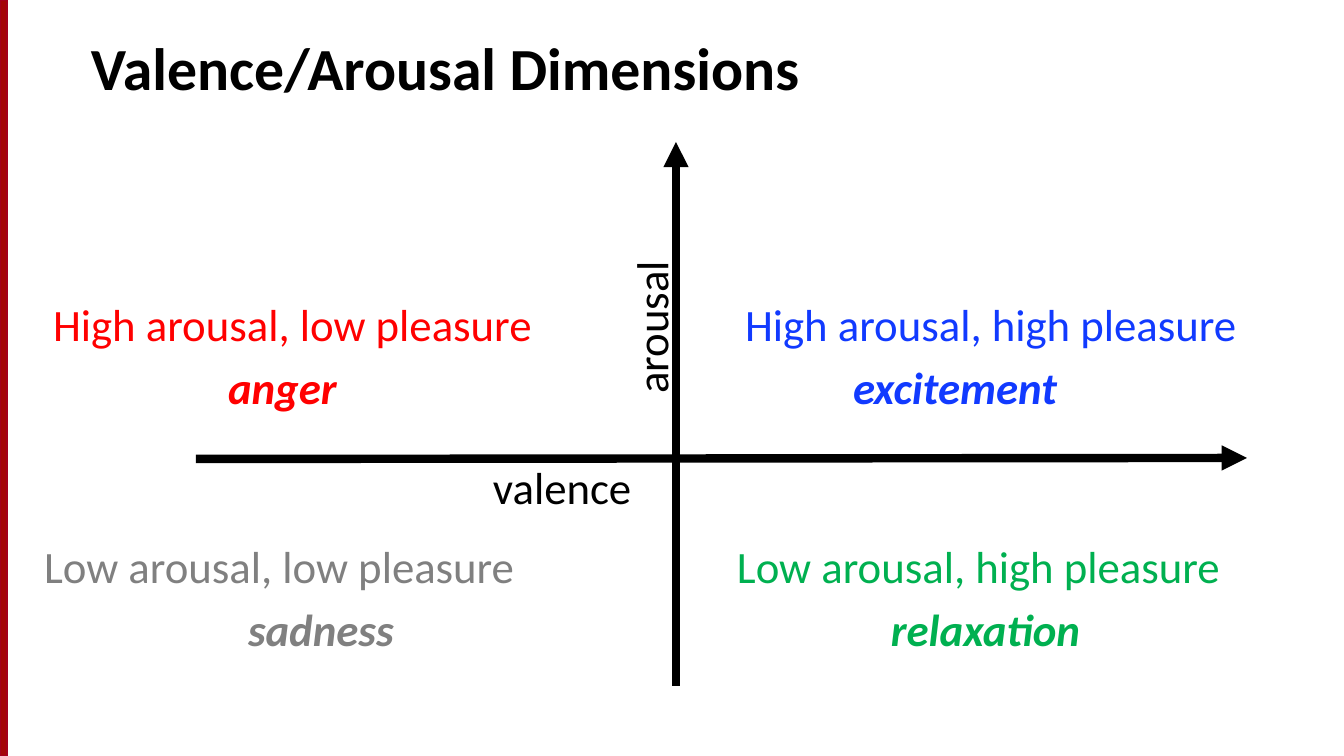
from lxml import etree
from pptx import Presentation
from pptx import util as u
from pptx.dml.color import RGBColor
from pptx.enum import shapes, text
from pptx.oxml.ns import qn

SCALE = 9144000 / 1344
WIDE, HIGH = 1344, 756
BLACK = RGBColor(0x00, 0x00, 0x00)
CRIMSON = RGBColor(0xA4, 0x05, 0x08)
EDGE = RGBColor(0xA4, 0x00, 0x1D)
RED = RGBColor(0xFF, 0x00, 0x00)
BLUE = RGBColor(0x11, 0x3A, 0xFF)
GRAY = RGBColor(0x80, 0x80, 0x80)
GREEN = RGBColor(0x00, 0xB0, 0x50)

MOODS = [
    (53, 297, "High arousal, low pleasure", "anger", 175, RED),
    (745, 297, "High arousal, high pleasure", "excitement", 108, BLUE),
    (44, 539, "Low arousal, low pleasure", "sadness", 204, GRAY),
    (737, 539, "Low arousal, high pleasure", "relaxation", 154, GREEN),
]


def px(n):
    """Turn pixels into EMU."""
    return u.Emu(round(n * SCALE))


def style(para, size, color, bold=False, slant=False):
    """Format every run of a paragraph."""
    for run in para.runs:
        font = run.font
        font.name, font.size = "Calibri", u.Pt(size)
        font.bold, font.italic = bold, slant
        font.color.rgb = color


def add_text(slide, box, words, size=24, color=BLACK, bold=False, wrap=True):
    """Add a text box without margins and return it."""
    shape = slide.shapes.add_textbox(*map(px, box))
    frame = shape.text_frame
    frame.margin_left = frame.margin_right = 0
    frame.margin_top = frame.margin_bottom = 0
    frame.word_wrap = wrap
    frame.text = words
    style(frame.paragraphs[0], size, color, bold)
    return shape


def add_line(slide, start, end, width, arrow=True):
    """Draw a black line, with an arrowhead at its end if asked."""
    line = slide.shapes.add_connector(
        shapes.MSO_CONNECTOR.STRAIGHT, *map(px, start + end))
    line.line.color.rgb = BLACK
    line.line.width = u.Pt(width)
    if arrow:
        tail = etree.SubElement(line.line._get_or_add_ln(), qn("a:tailEnd"))
        tail.set("type", "triangle")
    etree.SubElement(line._element.spPr, qn("a:effectLst"))


def add_stripe(slide, box):
    """Draw the coloured stripe at the slide's edge."""
    bar = slide.shapes.add_shape(shapes.MSO_SHAPE.RECTANGLE, *map(px, box))
    bar.shadow.inherit = False
    bar.fill.solid()
    bar.fill.fore_color.rgb = CRIMSON
    bar.line.color.rgb = EDGE
    bar.line.width = u.Pt(0.75)


def add_title(slide, box):
    """Write the title at the bottom of its box."""
    title = add_text(slide, box, "Valence/Arousal Dimensions", 32, bold=True)
    title.text_frame.vertical_anchor = text.MSO_ANCHOR.BOTTOM


def add_mood(slide, box, state, mood, indent, color):
    """Write one quadrant: its state and, indented, its mood."""
    frame = add_text(slide, box, state, color=color).text_frame
    para = frame.add_paragraph()
    para.text = mood
    para.space_before = u.Pt(4.8)
    para._p.get_or_add_pPr().set("marL", str(px(indent)))
    style(para, 24, color, bold=True, slant=True)


def add_axes(slide, box):
    """Draw the two axes and their labels within a box."""
    left, top, width, height = box
    mid, base = left + 480, top + 316
    add_line(slide, (left, base + 1), (left + width, base), 4.5)
    add_line(slide, (mid, top + height), (mid, top), 4.5)
    add_line(slide, (mid + 46, top + 3), (mid + 46, top + 3), 0.75, False)
    name = add_text(slide, (mid - 96, top + 154, 141, 54), "arousal", wrap=False)
    name.rotation = 270
    add_text(slide, (mid - 183, base + 2, 141, 54), "valence", wrap=False)


def main():
    """Build and save the slide."""
    deck = Presentation()
    deck.slide_width, deck.slide_height = px(WIDE), px(HIGH)
    slide = deck.slides.add_slide(deck.slide_layouts[6])
    add_stripe(slide, (0, 0, 7, HIGH))
    add_title(slide, (91, 27, 1253, 75))
    for left, top, *mood in MOODS:
        add_mood(slide, (left, top, 540, 118), *mood)
    add_axes(slide, (196, 142, 1051, 544))
    deck.save("out.pptx")


if __name__ == "__main__":
    main()
